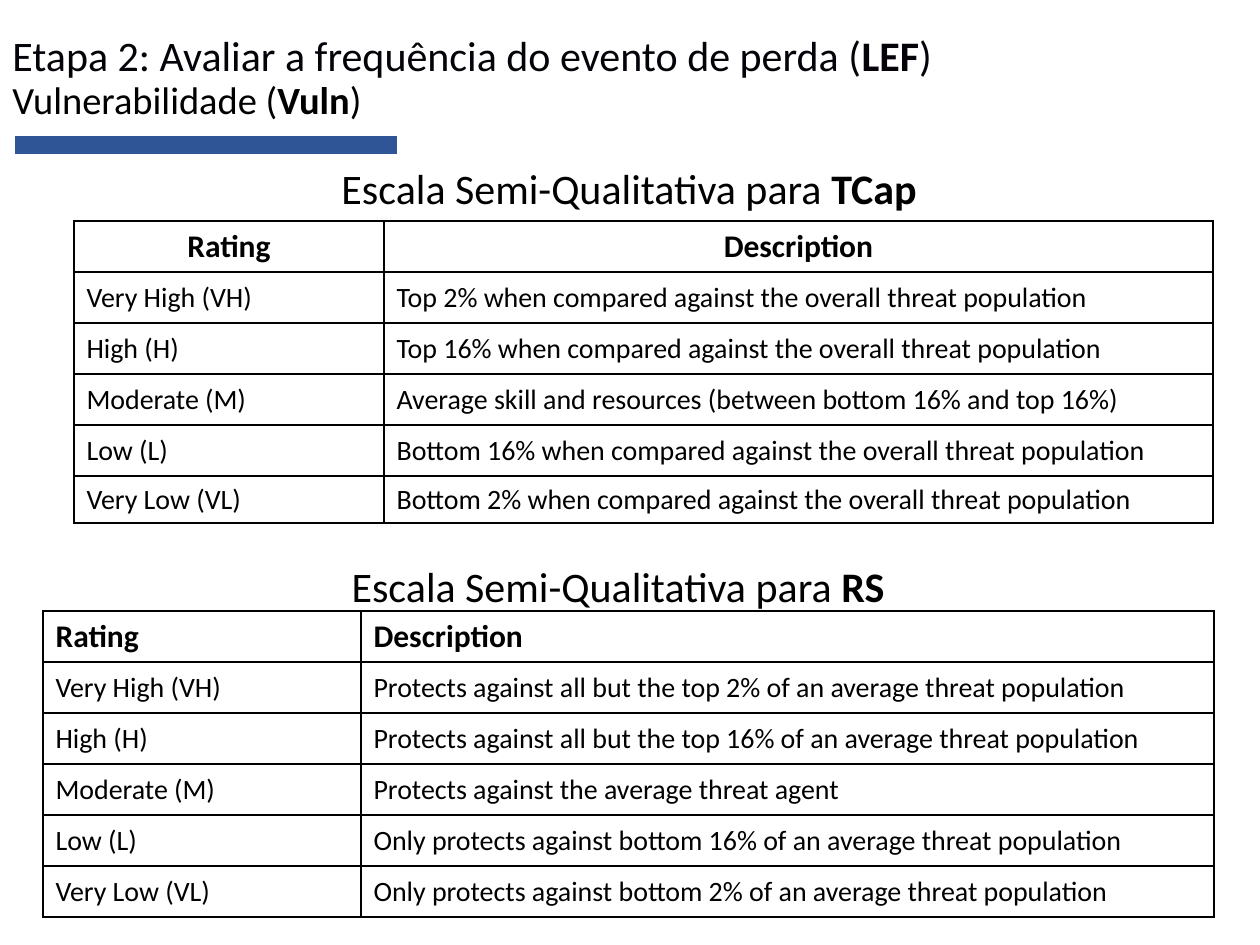
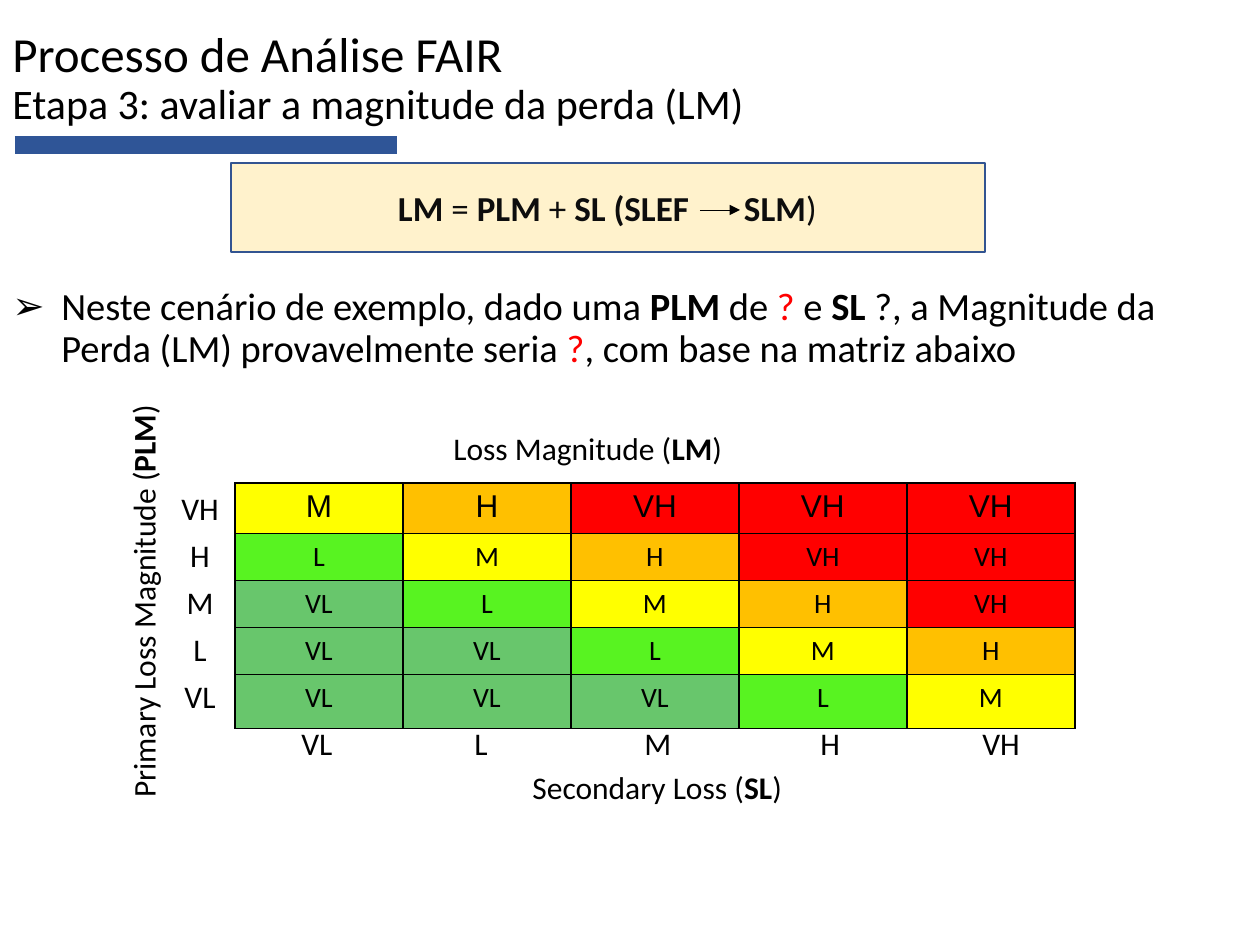
from lxml.etree import SubElement as Sub
from pptx import Presentation
from pptx.dml.color import RGBColor as RGB
from pptx.enum.shapes import MSO_CONNECTOR as LINE, MSO_SHAPE as SHAPE
from pptx.enum.text import MSO_ANCHOR as ANCHOR, PP_ALIGN as ALIGN
from pptx.oxml.ns import qn
from pptx.util import Pt

BLACK = RGB(0x00, 0x00, 0x00)
INK = RGB(0x05, 0x03, 0x09)
DARK = RGB(0x0D, 0x0D, 0x0D)
RED = RGB(0xFF, 0x00, 0x00)
BLUE = RGB(0x2F, 0x55, 0x97)
EDGE = RGB(0x32, 0x54, 0x91)
CREAM = RGB(0xFF, 0xF2, 0xCC)
LEVELS = [
    ("VL", RGB(0x68, 0xC6, 0x6C)),
    ("L", RGB(0x58, 0xF3, 0x21)),
    ("M", RGB(0xFF, 0xFF, 0x00)),
    ("H", RGB(0xFF, 0xC0, 0x00)),
    ("VH", RED),
]
NAMES = ["Very High (VH)", "High (H)", "Moderate (M)", "Low (L)", "Very Low (VL)"]
TCAP = [
    "Top 2% when compared against the overall threat population",
    "Top 16% when compared against the overall threat population",
    "Average skill and resources (between bottom 16% and top 16%)",
    "Bottom 16% when compared against the overall threat population",
    "Bottom 2% when compared against the overall threat population",
]
RS = [
    "Protects against all but the top 2% of an average threat population",
    "Protects against all but the top 16% of an average threat population",
    "Protects against the average threat agent",
    "Only protects against bottom 16% of an average threat population",
    "Only protects against bottom 2% of an average threat population",
]


def px(num):
    return round(num * 914400 / 126)


def write(frame, text, size=18, ink=BLACK, font="Calibri", bold=False,
          align=ALIGN.LEFT, space=None, bullet=None, hang=0, tabs=()):
    """Append a paragraph; *stars* toggle bold and ^carets^ mark red."""
    para = frame.paragraphs[-1]
    if para.runs:
        para = frame.add_paragraph()
    para.alignment = align
    props = para._p.get_or_add_pPr()
    if bullet:
        props.set("marL", str(px(hang)))
        props.set("indent", str(-px(hang)))
        Sub(props, qn("a:buFont"), typeface="Arial")
        Sub(props, qn("a:buChar"), char=bullet)
    if tabs:
        stops = Sub(props, qn("a:tabLst"))
        for stop in tabs:
            Sub(stops, qn("a:tab"), pos=str(px(stop)), algn="l")
    if space:
        para.line_spacing = space
    for i, part in enumerate(text.split("*")):
        for j, piece in enumerate(part.split("^")):
            if piece:
                run = para.add_run()
                run.text = piece
                run.font.name = font
                run.font.size = Pt(size)
                run.font.bold = bold or i % 2 == 1
                run.font.color.rgb = RED if j % 2 else ink


def add_box(slide, left, top, width, height, anchor=ANCHOR.TOP, turn=0):
    box = slide.shapes.add_textbox(px(left), px(top), px(width), px(height))
    box.rotation = turn
    box.text_frame.word_wrap = True
    box.text_frame.vertical_anchor = anchor
    return box.text_frame


def add_line(slide, left, right, y, ink, width, arrow=False):
    line = slide.shapes.add_connector(LINE.STRAIGHT, px(left), px(y), px(right), px(y))
    line.line.color.rgb = ink
    line.line.width = Pt(width)
    if arrow:
        Sub(line.line._get_or_add_ln(), qn("a:tailEnd"), type="triangle")
    Sub(line._element.spPr, qn("a:effectLst"))


def add_grid(slide, left, top, cols, rows):
    frame = slide.shapes.add_table(
        len(rows), len(cols), px(left), px(top), px(sum(cols)), px(sum(rows)))
    grid = frame.table
    grid.first_row = grid.horz_banding = False
    for col, width in zip(grid.columns, cols):
        col.width = px(width)
    for row, height in zip(grid.rows, rows):
        row.height = px(height)
    return grid


def fill_cell(cell, text, fill=None, anchor=ANCHOR.TOP, **style):
    props = cell._tc.get_or_add_tcPr()
    for side in "LRTB":
        edge = Sub(props, qn(f"a:ln{side}"), w=str(Pt(1)))
        Sub(Sub(edge, qn("a:solidFill")), qn("a:srgbClr"), val=str(BLACK))
    if fill is None:
        cell.fill.background()
    else:
        cell.fill.solid()
        cell.fill.fore_color.rgb = fill
    cell.vertical_anchor = anchor
    write(cell.text_frame, text, **style)


def add_slide(deck, *lines):
    slide = deck.slides.add_slide(deck.slide_layouts[6])
    add_line(slide, 15, 397, 145, BLUE, 10)
    title = add_box(slide, 0, 3, 1260, 152, anchor=ANCHOR.MIDDLE)
    for text, size, ink in lines:
        write(title, text, size=size, ink=ink, space=0.9)
    return slide


def add_scale(slide, left, top, cols, rows, notes, align):
    grid = add_grid(slide, left, top, cols, rows)
    pairs = [("Rating", "Description"), *zip(NAMES, notes)]
    for r, pair in enumerate(pairs):
        style = {"size": 16} if r else {"size": 18, "bold": True, "align": align}
        for c, text in enumerate(pair):
            fill_cell(grid.cell(r, c), text, anchor=ANCHOR.MIDDLE, **style)


def add_head(slide, left, top, name):
    head = add_box(slide, left, top, 1150, 60)
    write(head, f"Escala Semi-Qualitativa para *{name}*", size=24, align=ALIGN.CENTER)


def add_sum(slide, left, top, width, height):
    box = slide.shapes.add_shape(
        SHAPE.RECTANGLE, px(left), px(top), px(width), px(height))
    box.shadow.inherit = False
    box.fill.solid()
    box.fill.fore_color.rgb = CREAM
    box.line.color.rgb = EDGE
    box.line.width = Pt(1)
    frame = box.text_frame
    frame.word_wrap = True
    frame.margin_left = px(167)
    frame.vertical_anchor = ANCHOR.MIDDLE
    write(frame, "*LM* = *PLM* + *SL (SLEF\tSLM*)", size=20, ink=DARK, tabs=[346])
    add_line(slide, left + 469, left + 509, top + 47, BLACK, 0.5, arrow=True)


def add_matrix(slide, left, top):
    grid = add_grid(slide, left, top, [168] * 5, [49, 47, 47, 47, 54])
    for r in range(5):
        style = {"size": 16} if r else {"size": 18, "font": "Arial"}
        for c in range(5):
            name, fill = LEVELS[min(4, max(0, c - r + 2))]
            fill_cell(grid.cell(r, c), name, fill, align=ALIGN.CENTER, **style)
    names = [name for name, _ in LEVELS]
    for r, name in enumerate(reversed(names)):
        label = add_box(slide, left - 69, top + 47 * r, 68, 50)
        write(label, name, align=ALIGN.CENTER)
    axis = add_box(slide, left + 54, top + 235, 780, 50)
    write(axis, "\t".join(names), tabs=[173, 343, 519, 681])
    write(add_box(slide, left + 206, top - 60, 507, 50), "Loss Magnitude (*LM*)")
    write(add_box(slide, left + 285, top + 279, 297, 50), "Secondary Loss (*SL*)")
    side = add_box(slide, left - 420, top - 26, 656, 50, turn=270)
    write(side, "Primary Loss Magnitude (*PLM*)")


def add_scales(deck):
    slide = add_slide(
        deck,
        ("Etapa 2: Avaliar a frequência do evento de perda (*LEF*)", 24, INK),
        ("Vulnerabilidade (*Vuln*)", 22, BLACK))
    add_scale(slide, 74, 221, [310, 829], [51] * 5 + [47], TCAP, ALIGN.CENTER)
    add_head(slide, 54, 156, "TCap")
    add_scale(slide, 43, 611, [318, 853], [51] * 6, RS, ALIGN.LEFT)
    add_head(slide, 43, 554, "RS")


def add_loss(deck):
    slide = add_slide(
        deck,
        ("Processo de Análise FAIR", 28, BLACK),
        ("Etapa 3: avaliar a magnitude da perda (LM)", 24, BLACK))
    body = add_box(slide, 0, 281, 1230, 600)
    write(body, "Neste cenário de exemplo, dado uma *PLM* de ^?^ e *SL* ?, a Magnitude "
                "da Perda (LM) provavelmente seria ^?^, com base na matriz abaixo",
          size=22, space=0.9, bullet="➢", hang=49)
    add_matrix(slide, 235, 483)
    add_sum(slide, 231, 163, 754, 89)


def main():
    deck = Presentation()
    deck.slide_width, deck.slide_height = px(1260), px(945)
    add_scales(deck)
    add_loss(deck)
    deck.save("out.pptx")


if __name__ == "__main__":
    main()
